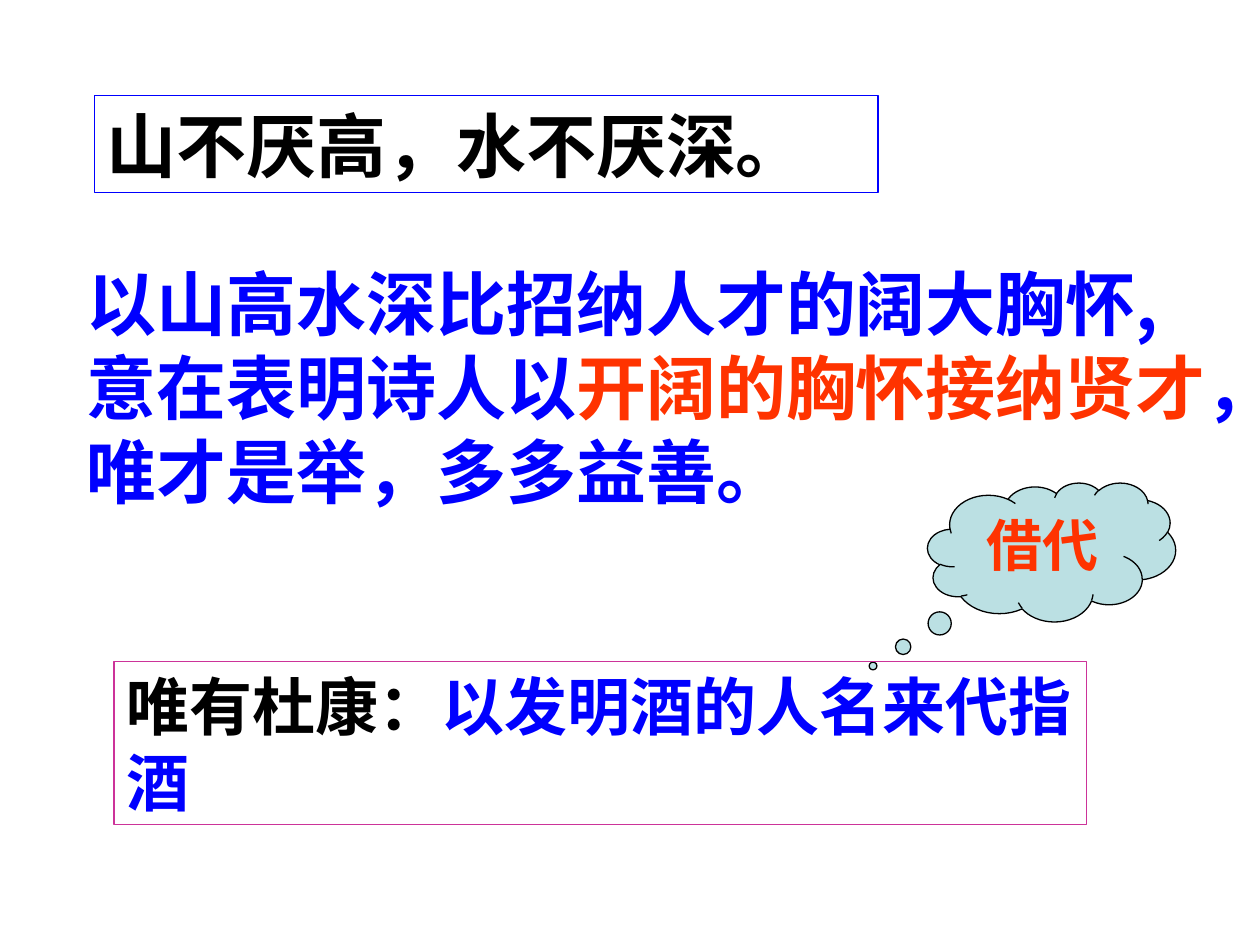
import lxml.etree
import pptx
import pptx.dml.color
import pptx.enum.shapes
import pptx.enum.text
import pptx.oxml.ns
import pptx.util

Cm = pptx.util.Cm
Pt = pptx.util.Pt
RGBColor = pptx.dml.color.RGBColor
Align = pptx.enum.text.PP_ALIGN

BLACK = RGBColor(0x00, 0x00, 0x00)
BLUE = RGBColor(0x00, 0x00, 0xFF)
RED = RGBColor(0xFF, 0x33, 0x00)
MAGENTA = RGBColor(0xCC, 0x33, 0x99)
PALE_TEAL = RGBColor(0xBB, 0xE0, 0xE3)

EAST_ASIAN_FONT = "Noto Sans CJK SC"
LINE_SPACING = 1.2
FRAME_FORMAT = {
    "word_wrap": True,
    "auto_size": pptx.enum.text.MSO_AUTO_SIZE.NONE,
    "vertical_anchor": pptx.enum.text.MSO_ANCHOR.TOP,
    "margin_left": Cm(0.25),
    "margin_right": Cm(0.25),
    "margin_top": Cm(0.13),
    "margin_bottom": Cm(0.13),
}


def set_attributes(target, values):
    for name, value in values.items():
        setattr(target, name, value)


def write_text(shape, runs, size, font_name="Arial", alignment=Align.LEFT):
    set_attributes(shape.text_frame, FRAME_FORMAT)
    paragraph = shape.text_frame.paragraphs[0]
    set_attributes(paragraph, {
        "alignment": alignment,
        "line_spacing": Pt(size * LINE_SPACING),
        "space_before": Pt(0),
    })
    for text, color in runs:
        run = paragraph.add_run()
        run.text = text
        run.font.color.rgb = color
        set_attributes(run.font, {"size": Pt(size), "bold": True, "name": font_name})
        east_asian = lxml.etree.SubElement(
            run.font._element, pptx.oxml.ns.qn("a:ea"))
        east_asian.set("typeface", EAST_ASIAN_FONT)


def outline(shape, color):
    shape.line.color.rgb = color
    shape.line.width = Pt(0.75)


def place_verse(slide, box):
    title = slide.shapes.title
    set_attributes(title, dict(zip(("left", "top", "width", "height"), box)))
    title.fill.background()
    outline(title, BLUE)
    write_text(title, [("山不厌高，水不厌深。", BLACK)], 40)


def add_explanation(slide, box):
    explanation = slide.shapes.add_textbox(*box)
    write_text(explanation, [
        ("以山高水深比招纳人才的阔大胸怀,意在表明诗人以", BLUE),
        ("开阔的胸怀接纳贤才", RED),
        ("，唯才是举，多多益善。", BLUE),
    ], 40, EAST_ASIAN_FONT)


def add_cloud(slide, box):
    cloud = slide.shapes.add_shape(
        pptx.enum.shapes.MSO_SHAPE.CLOUD_CALLOUT, *box)
    cloud.shadow.inherit = False
    cloud.adjustments[0] = -0.72
    cloud.adjustments[1] = 0.82
    cloud.fill.solid()
    cloud.fill.fore_color.rgb = PALE_TEAL
    outline(cloud, BLACK)
    write_text(cloud, [("借代", RED)], 32, alignment=Align.CENTER)


def add_allusion(slide, box):
    allusion = slide.shapes.add_shape(
        pptx.enum.shapes.MSO_SHAPE.RECTANGLE, *box)
    allusion.shadow.inherit = False
    allusion.fill.background()
    outline(allusion, MAGENTA)
    write_text(allusion, [
        ("唯有杜康：", BLACK),
        ("以发明酒的人名来代指酒", BLUE),
    ], 36)


def main():
    presentation = pptx.Presentation()
    presentation.slide_width = Cm(25.4)
    presentation.slide_height = Cm(19.05)
    slide = presentation.slides.add_slide(presentation.slide_layouts[5])
    place_verse(slide, (Cm(1.9), Cm(1.93), Cm(15.8), Cm(1.95)))
    add_explanation(slide, (Cm(1.5), Cm(5.13), Cm(23.4), Cm(5.33)))
    add_cloud(slide, (Cm(18.7), Cm(9.73), Cm(5), Cm(2.8)))
    add_allusion(slide, (Cm(2.3), Cm(13.33), Cm(19.6), Cm(3.3)))
    presentation.save("out.pptx")


if __name__ == "__main__":
    main()
